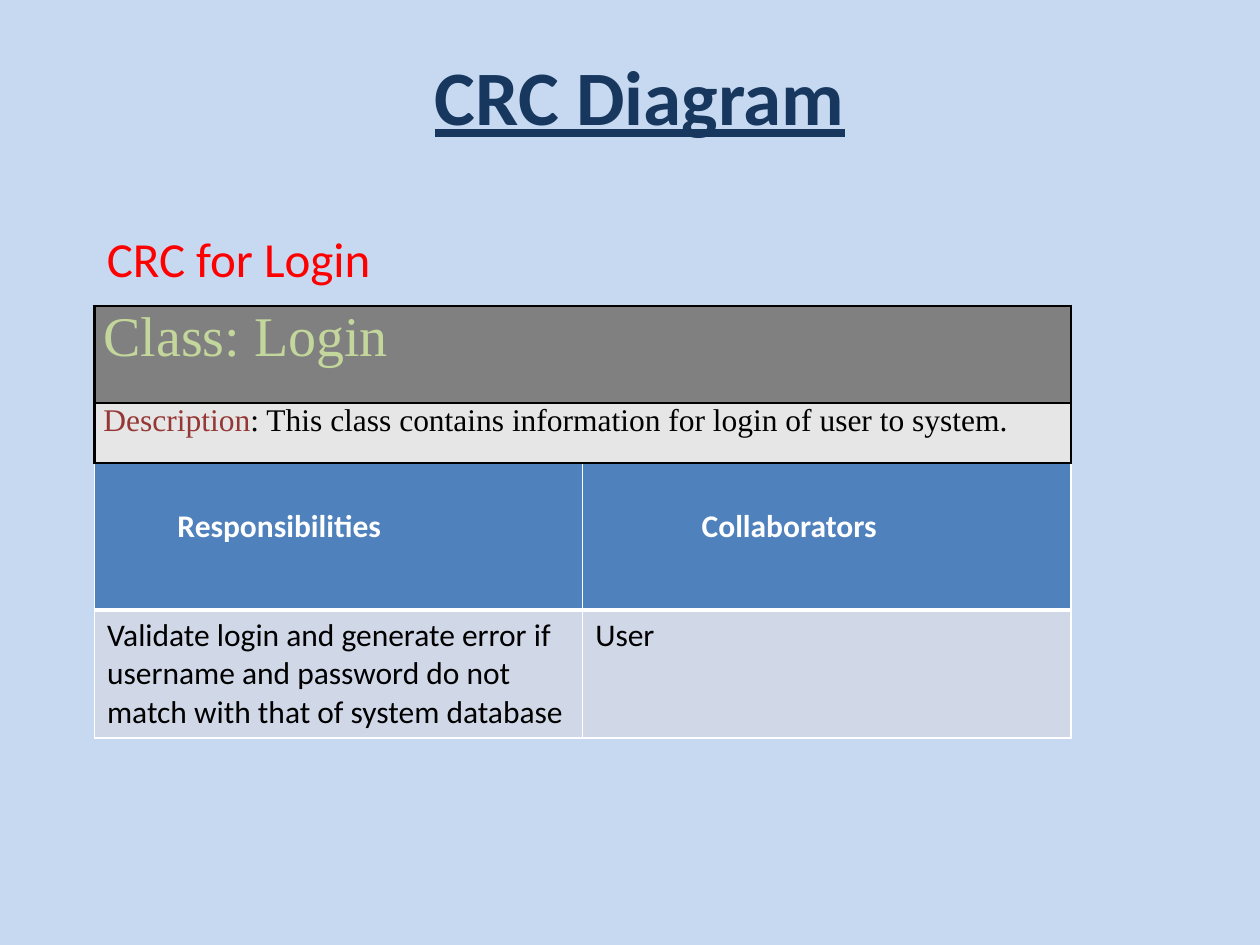
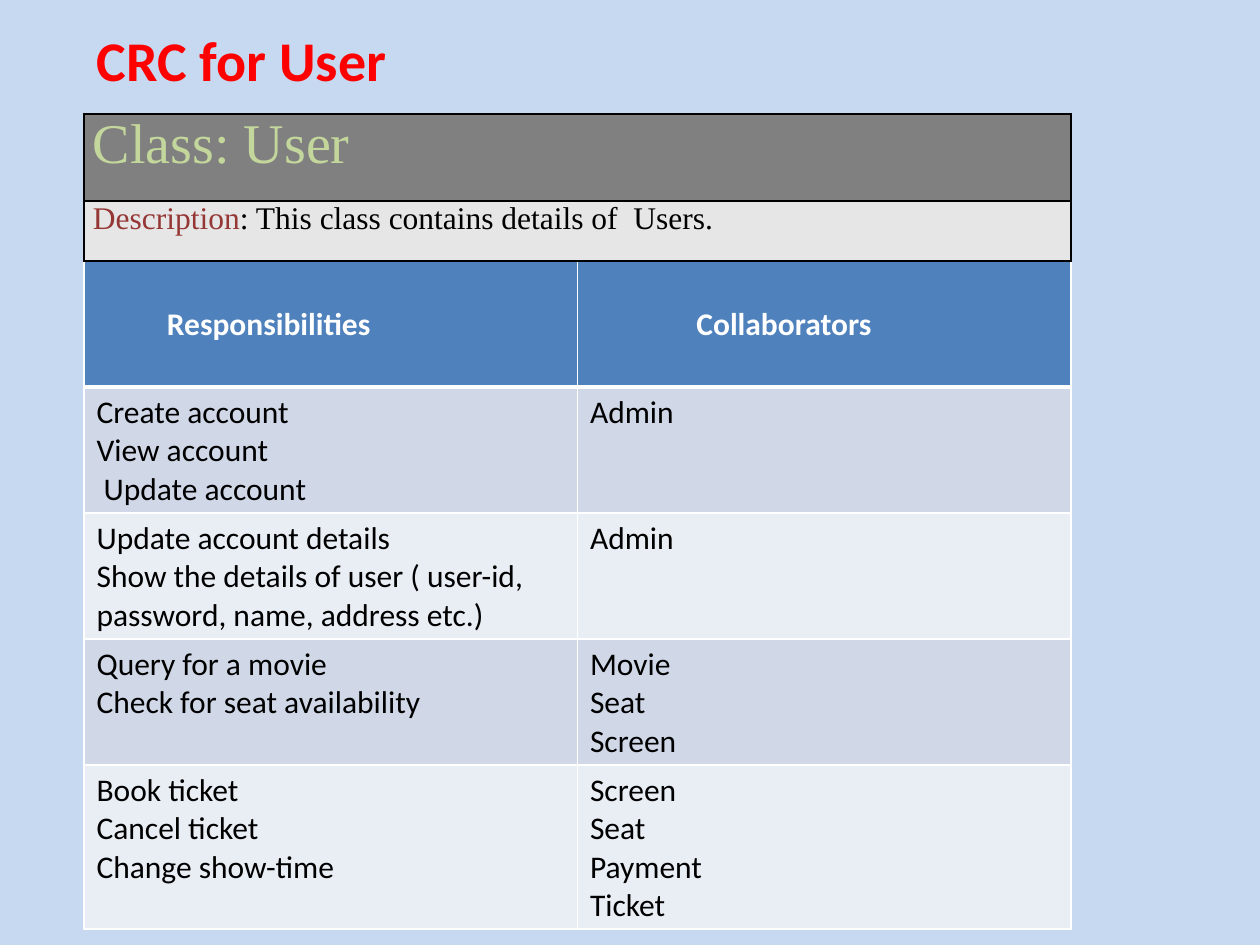
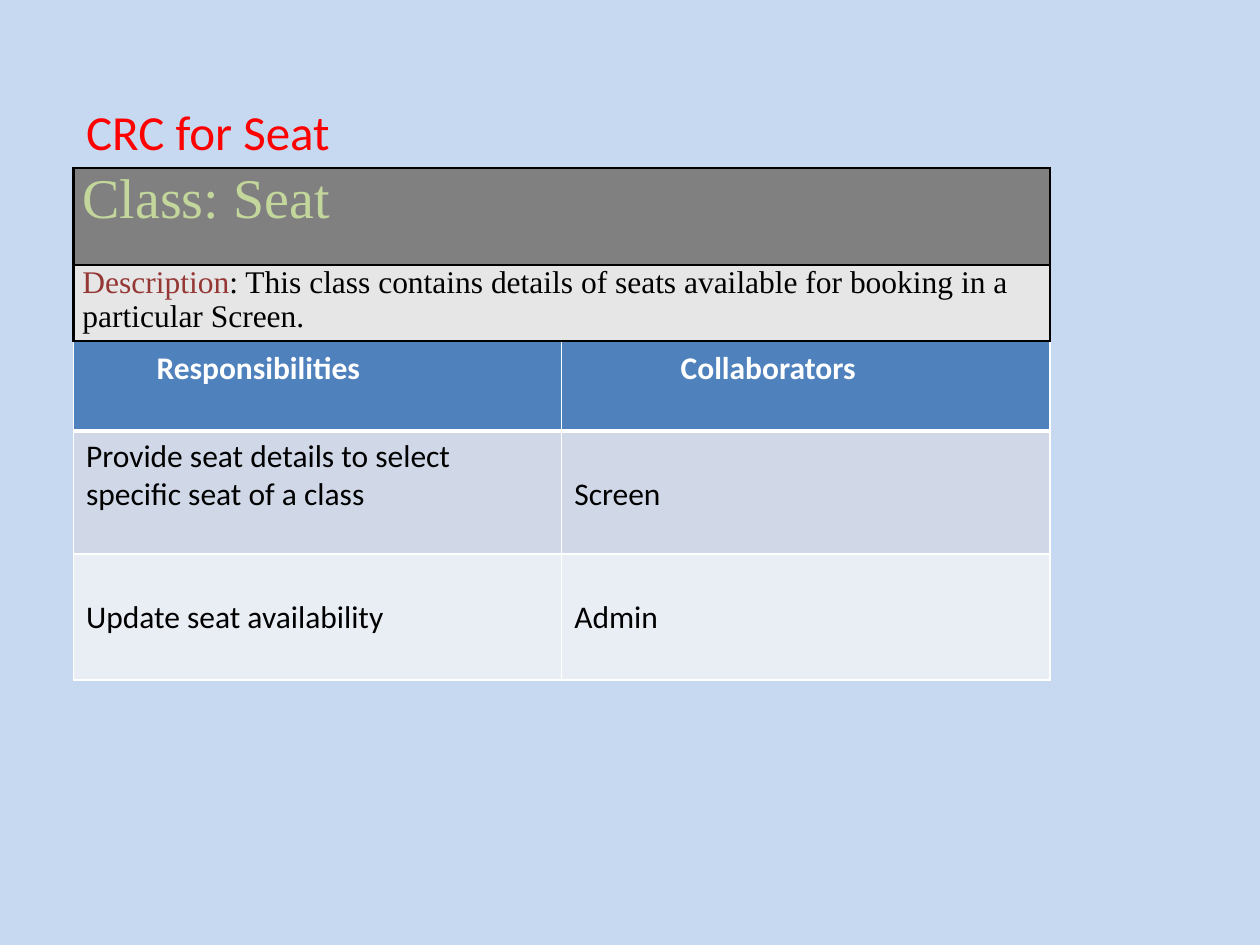
from lxml import etree
from pptx import Presentation
from pptx import util as u
from pptx.dml.color import RGBColor
from pptx.enum import text
from pptx.oxml import ns

PIXELS_PER_INCH = 126
SKY = RGBColor(0xC6, 0xD9, 0xF1)
NAVY = RGBColor(0x17, 0x37, 0x5E)
RED = RGBColor(0xFF, 0x00, 0x00)
BLACK = RGBColor(0x00, 0x00, 0x00)
WHITE = RGBColor(0xFF, 0xFF, 0xFF)
GRAY = RGBColor(0x80, 0x80, 0x80)
SILVER = RGBColor(0xE6, 0xE6, 0xE6)
GREEN = RGBColor(0xC3, 0xD6, 0x9B)
MAROON = RGBColor(0x95, 0x37, 0x35)
BLUE = RGBColor(0x4F, 0x81, 0xBD)
BANDS = (RGBColor(0xD0, 0xD8, 0xE8), RGBColor(0xE9, 0xED, 0xF4))

SANS = "Calibri"
SERIF = "Times New Roman"
SIDE = 12.6
TOP = 6.3
LOWERED = 44.5
CLASS_INSETS = (9, 0, 9, 0)
HEADERS = (("Responsibilities", 83), ("Collaborators", 119))


def px(length):
    return u.Emu(round(length * 914400 / PIXELS_PER_INCH))


def add_run(paragraph, words, size, color, font=SANS, bold=False, underline=False):
    run = paragraph.add_run()
    run.text = words
    run.font.size = u.Pt(size)
    run.font.name = font
    run.font.bold = bold
    run.font.underline = underline
    run.font.color.rgb = color


def format_heading(shape, box, words, size, color, centered=False, **style):
    shape.left, shape.top, shape.width, shape.height = map(px, box)
    frame = shape.text_frame
    frame.word_wrap = False
    frame.auto_size = text.MSO_AUTO_SIZE.SHAPE_TO_FIT_TEXT
    frame.vertical_anchor = text.MSO_ANCHOR.TOP
    paragraph = frame.paragraphs[0]
    paragraph.alignment = text.PP_ALIGN.CENTER if centered else text.PP_ALIGN.LEFT
    add_run(paragraph, words, size, color, **style)


def add_grid(slide, box, columns, heights):
    left, top, width = box
    frame = slide.shapes.add_table(len(heights), columns, px(left), px(top),
                                   px(width), px(sum(heights)))
    table = frame.table
    table.first_row = False
    table.horz_banding = False
    for column in table.columns:
        column.width = px(width / columns)
    for row, height in zip(table.rows, heights):
        row.height = px(height)
    return table


def format_cell(cell, fill, line, weight, bottom_weight=None, insets=(SIDE, TOP, SIDE, TOP)):
    (cell.margin_left, cell.margin_top,
     cell.margin_right, cell.margin_bottom) = map(px, insets)
    properties = cell._tc.get_or_add_tcPr()
    for edge in ("lnL", "lnR", "lnT", "lnB"):
        points = bottom_weight if edge == "lnB" and bottom_weight else weight
        border = etree.SubElement(properties, ns.qn("a:" + edge), w=str(u.Pt(points)))
        solid = etree.SubElement(border, ns.qn("a:solidFill"))
        etree.SubElement(solid, ns.qn("a:srgbClr"), val=str(line))
    cell.fill.solid()
    cell.fill.fore_color.rgb = fill


def write_lines(cell, lines, color, bold=False):
    for index, line in enumerate(lines):
        frame = cell.text_frame
        paragraph = frame.add_paragraph() if index else frame.paragraphs[0]
        add_run(paragraph, line, 18, color, bold=bold)


def add_class_table(slide, box, heights, name, description):
    table = add_grid(slide, box, 1, heights)
    name_cell, description_cell = table.cell(0, 0), table.cell(1, 0)
    for cell, fill in ((name_cell, GRAY), (description_cell, SILVER)):
        format_cell(cell, fill, BLACK, 1.5, insets=CLASS_INSETS)
    add_run(name_cell.text_frame.paragraphs[0], "Class: " + name, 32, GREEN, SERIF)
    paragraph = description_cell.text_frame.paragraphs[0]
    add_run(paragraph, "Description", 18, MAROON, SERIF)
    add_run(paragraph, ": " + description, 18, BLACK, SERIF)


def add_duties_table(slide, box, header_height, rows):
    table = add_grid(slide, box, 2, [header_height] + [row[0] for row in rows])
    for column, (words, indent) in enumerate(HEADERS):
        cell = table.cell(0, column)
        format_cell(cell, BLUE, WHITE, 1, 3, (indent, LOWERED, SIDE, TOP))
        write_lines(cell, [words], WHITE, bold=True)
    for index, (height, *entries) in enumerate(rows):
        for column, (lines, top) in enumerate(entries):
            cell = table.cell(index + 1, column)
            format_cell(cell, BANDS[index % 2], WHITE, 1, insets=(SIDE, top, SIDE, TOP))
            write_lines(cell, lines, BLACK)


def add_crc_slide(presentation, name, description, box, class_heights, duties_top,
                  header_height, rows, heading_box, heading_size=28, bold=False,
                  deck_title=None):
    slide = presentation.slides.add_slide(presentation.slide_layouts[5])
    left, top, width = box
    add_duties_table(slide, (left, top + duties_top, width), header_height, rows)
    add_class_table(slide, box, class_heights, name, description)
    heading = slide.shapes.title
    if deck_title:
        format_heading(heading, (420, 42, 440, 106), deck_title, 44, NAVY,
                       centered=True, bold=True, underline=True)
        heading = slide.shapes.add_textbox(0, 0, 0, 0)
    rise, heading_width, heading_height = heading_box
    format_heading(heading, (left, top - rise, heading_width, heading_height),
                   "CRC for " + name, heading_size, RED, bold=bold)


presentation = Presentation()
presentation.slide_width = px(1260)
presentation.slide_height = px(945)
background = presentation.slide_master.background.fill
background.solid()
background.fore_color.rgb = SKY

add_crc_slide(
    presentation, "Login",
    "This class contains information for login of user to system.",
    (94.5, 306, 976.5), (97, 60), 157, 147,
    [(128, (["Validate login and generate error if username and password "
             "do not match with that of system database"], TOP), (["User"], TOP))],
    (84, 291, 72), deck_title="CRC Diagram")

add_crc_slide(
    presentation, "User", "This class contains details of  Users.",
    (84, 114, 987), (87, 60), 147, 126,
    [(126, (["Create account", "View account", " Update account"], TOP),
      (["Admin"], TOP)),
     (126, (["Update account details",
             "Show the details of user ( user-id, password, name, address etc.)"], TOP),
      (["Admin"], TOP)),
     (126, (["Query for a movie", "Check for seat availability"], TOP),
      (["Movie", "Seat", "Screen"], TOP)),
     (164, (["Book ticket", "Cancel ticket", "Change show-time"], TOP),
      (["Screen", "Seat", "Payment", "Ticket"], TOP))],
    (95, 319, 81), heading_size=32, bold=True)

add_crc_slide(
    presentation, "Seat",
    "This class contains details of seats available for booking in a particular Screen.",
    (73.5, 168, 976.5), (97, 76), 137, 126,
    [(123, (["Provide seat details to select specific seat of a class"], TOP),
      (["Screen"], LOWERED)),
     (126, (["Update seat availability"], LOWERED), (["Admin"], LOWERED))],
    (73, 271, 72))

presentation.save("out.pptx")
